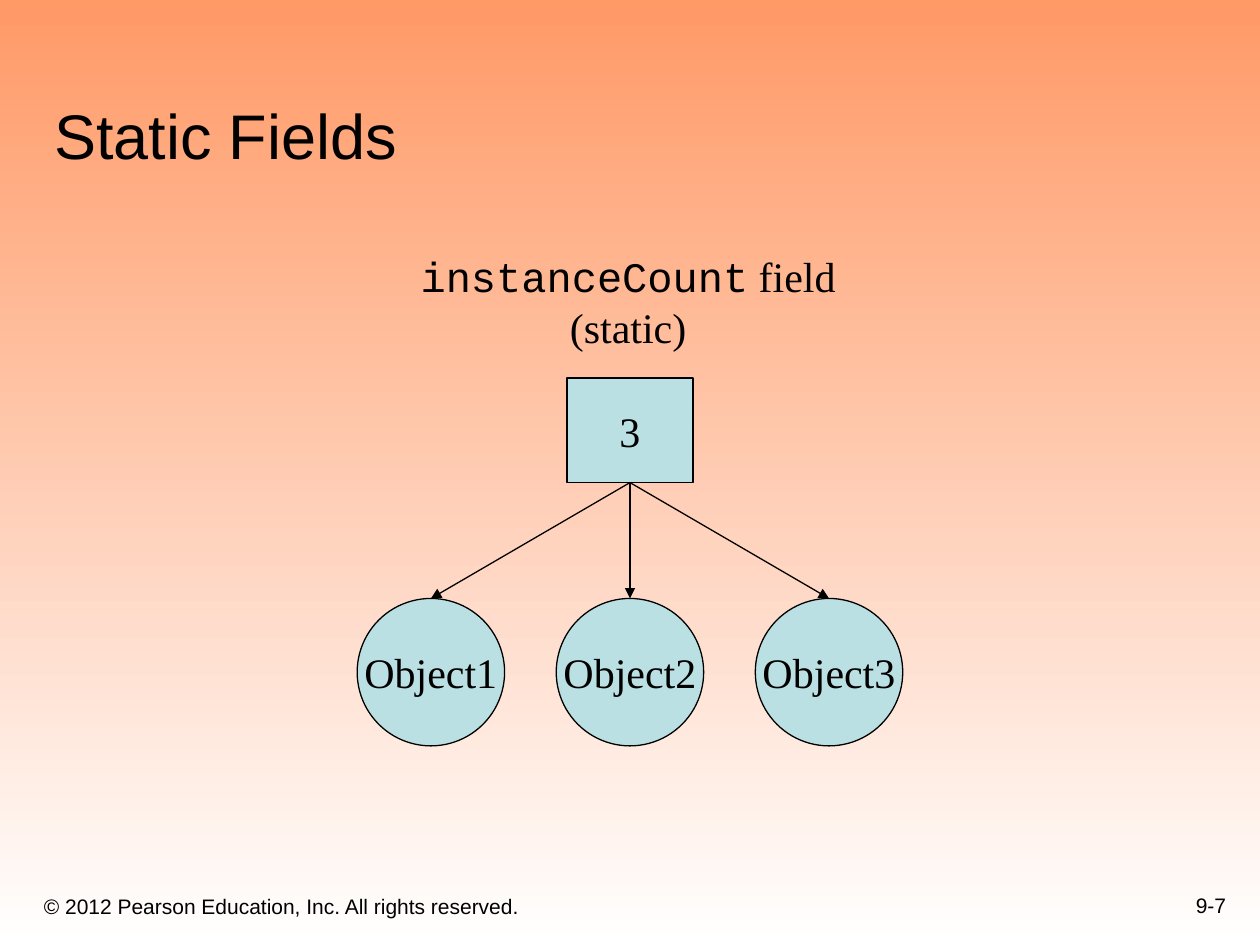
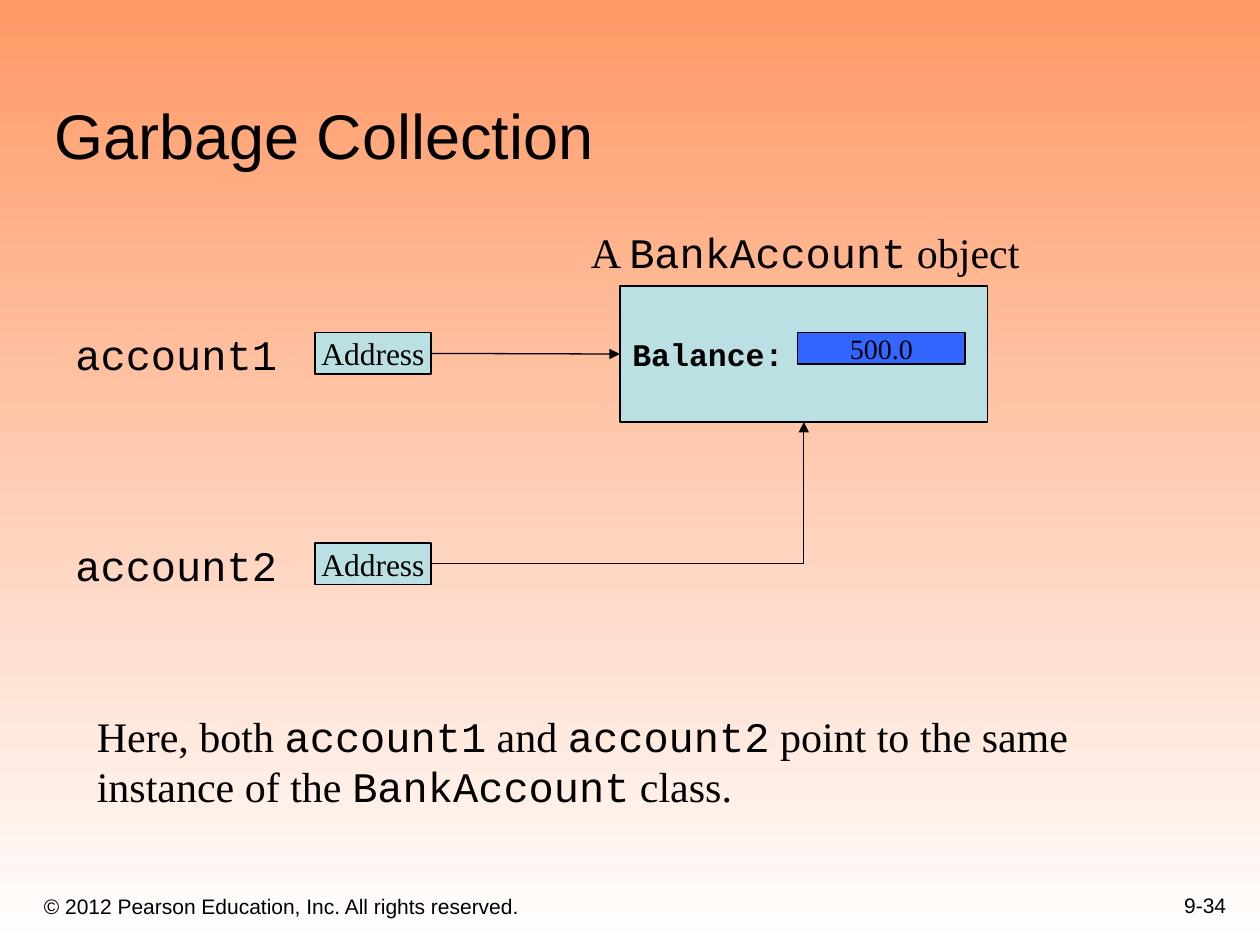
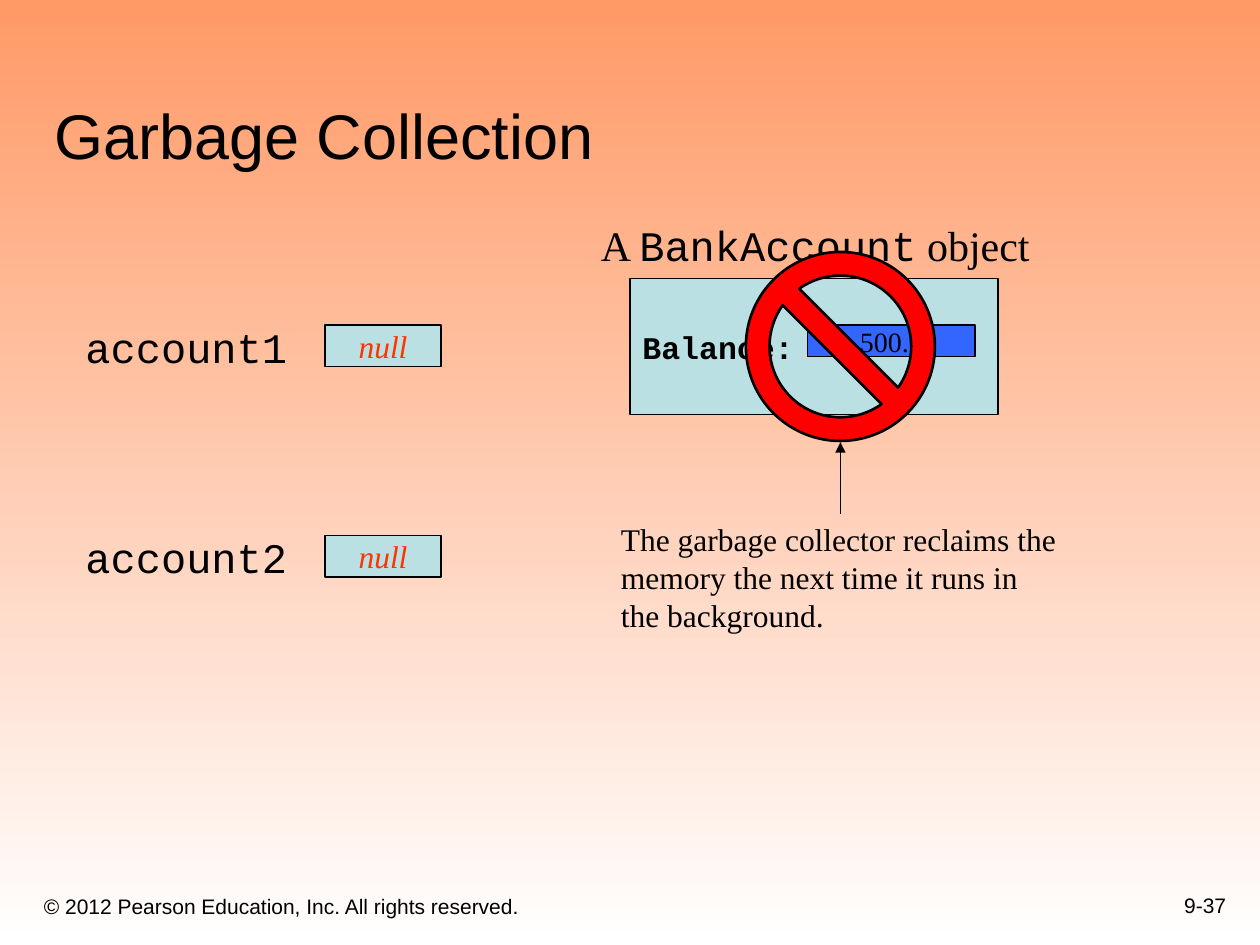
from dataclasses import dataclass

from lxml.etree import SubElement
from pptx import Presentation
from pptx.dml.color import RGBColor
from pptx.enum.shapes import MSO_CONNECTOR, MSO_SHAPE
from pptx.enum.text import MSO_ANCHOR, MSO_AUTO_SIZE, PP_ALIGN
from pptx.oxml.ns import qn
from pptx.util import Inches, Pt


@dataclass(frozen=True)
class Theme:
    ink: str = "000000"
    box: str = "BBE0E3"
    value: str = "3366FF"
    null: str = "FF3300"
    forbidden: str = "FF0000"
    background_top: str = "FF9966"
    background_bottom: str = "FFFFFF"
    heading_font: str = "Arial"
    body_font: str = "Times New Roman"
    code_font: str = "Courier New"
    title_size: int = 36
    body_size: int = 24
    label_size: int = 18
    value_size: int = 16
    footer_size: int = 12


THEME = Theme()

# Content: words between backticks are set in the code font
COPYRIGHT = "© 2012 Pearson Education, Inc. All rights reserved."
STATIC_FIELDS = {
    "title": "Static Fields",
    "page": "9-7",
    "caption": ["`instanceCount` field", "(static)"],
    "count": "3",
    "objects": ["Object1", "Object2", "Object3"],
}
SHARED_OBJECT = {
    "title": "Garbage Collection",
    "page": "9-34",
    "reference": "Address",
    "note": [
        "Here, both `account1` and `account2` point to the same",
        "instance of the `BankAccount` class.",
    ],
}
RECLAIMED_OBJECT = {
    "title": "Garbage Collection",
    "page": "9-37",
    "reference": "null",
    "note": ["The garbage collector reclaims the memory the next time it runs in the background."],
}
ACCOUNTS = ["account1", "account2"]
OBJECT_CAPTION = ["A `BankAccount` object"]
BALANCE_LABEL = ["`Balance:`"]
BALANCE = "500.0"

LEFT, CENTER, RIGHT = PP_ALIGN.LEFT, PP_ALIGN.CENTER, PP_ALIGN.RIGHT


# Text and shapes
def color(value):
    return RGBColor.from_string(value)


def inches(*values):
    return [Inches(value) for value in values]


def write(text_frame, lines, size, font=THEME.body_font, ink=THEME.ink,
          align=LEFT, anchor=MSO_ANCHOR.TOP, wrap=False, bold=False, italic=False):
    text_frame.auto_size = MSO_AUTO_SIZE.NONE
    text_frame.word_wrap = wrap
    text_frame.vertical_anchor = anchor
    for index, line in enumerate(lines):
        paragraph = text_frame.paragraphs[0] if index == 0 else text_frame.add_paragraph()
        paragraph.alignment = align
        for part, text in enumerate(line.split("`")):
            if not text:
                continue
            run = paragraph.add_run()
            run.text = text
            run.font.name = THEME.code_font if part % 2 else font
            run.font.size = Pt(size)
            run.font.color.rgb = color(ink)
            run.font.bold = bold
            run.font.italic = italic


def add_text(slide, place, lines, size=THEME.body_size, **style):
    text_box = slide.shapes.add_textbox(*inches(*place))
    write(text_box.text_frame, lines, size, **style)
    return text_box


def add_box(slide, kind, place, fill=THEME.box, line_width=0.75):
    shape = slide.shapes.add_shape(kind, *inches(*place))
    shape.shadow.inherit = False
    shape.fill.solid()
    shape.fill.fore_color.rgb = color(fill)
    shape.line.color.rgb = color(THEME.ink)
    shape.line.width = Pt(line_width)
    return shape


def add_label_box(slide, kind, place, lines, size, fill=THEME.box, align=CENTER, **style):
    shape = add_box(slide, kind, place, fill)
    write(shape.text_frame, lines, size, align=align, anchor=MSO_ANCHOR.MIDDLE, **style)
    return shape


def add_arrow(slide, start=(0, 0), end=(0, 0), kind=MSO_CONNECTOR.STRAIGHT):
    arrow = slide.shapes.add_connector(kind, *inches(*start, *end))
    arrow.line.color.rgb = color(THEME.ink)
    arrow.line.width = Pt(0.75)
    properties = arrow._element.spPr
    SubElement(properties.find(qn("a:ln")), qn("a:tailEnd"), type="triangle")
    SubElement(properties, qn("a:effectLst"))
    return arrow


def join(slide, start, start_site, end, end_site, kind=MSO_CONNECTOR.STRAIGHT):
    arrow = add_arrow(slide, kind=kind)
    arrow.begin_connect(start, start_site)
    arrow.end_connect(end, end_site)
    return arrow


# Shared slide frame
def set_background(presentation):
    fill = presentation.slide_master.background.fill
    fill.gradient()
    fill.gradient_angle = 270
    stops = zip(fill.gradient_stops, (0, 1), (THEME.background_top, THEME.background_bottom))
    for stop, position, value in stops:
        stop.position = position
        stop.color.rgb = color(value)


def add_slide(presentation, content):
    slide = presentation.slides.add_slide(presentation.slide_layouts[5])
    title = slide.shapes.title
    title.left, title.top, title.width, title.height = inches(0.33, 0.33, 9.42, 1.09)
    write(title.text_frame, [content["title"]], THEME.title_size,
          font=THEME.heading_font, anchor=MSO_ANCHOR.BOTTOM, wrap=True)
    footers = [
        ((0.25, 6.92, 6.08, 0.42), COPYRIGHT, LEFT),
        ((7.75, 6.83, 2.08, 0.5), content["page"], RIGHT),
    ]
    for place, text, align in footers:
        add_text(slide, place, [text], THEME.footer_size, font=THEME.heading_font,
                 align=align, anchor=MSO_ANCHOR.BOTTOM, wrap=True)
    return slide


# Static field shared by three objects
def build_static_fields(presentation):
    slide = add_slide(presentation, STATIC_FIELDS)
    add_text(slide, (3.24, 1.94, 3.49, 0.9), STATIC_FIELDS["caption"], align=CENTER)
    field = add_label_box(slide, MSO_SHAPE.RECTANGLE, (4.5, 3, 1, 0.83),
                          [STATIC_FIELDS["count"]], THEME.body_size)
    diameter, step = 1.17, 1.58
    for index, name in enumerate(STATIC_FIELDS["objects"]):
        left = 5 + (index - 1) * step - diameter / 2
        circle = add_label_box(slide, MSO_SHAPE.OVAL, (left, 4.75, diameter, diameter),
                               [name], THEME.body_size)
        join(slide, field, 2, circle, 0)


# Two account variables beside one account object
def add_memory_diagram(slide, reference, left, top, **reference_style):
    add_text(slide, (left + 4.09, top, 3.62, 0.5), OBJECT_CAPTION)
    account = add_label_box(slide, MSO_SHAPE.RECTANGLE, (left + 4.42, top + 0.52, 2.92, 1.08),
                            BALANCE_LABEL, THEME.label_size, align=LEFT, bold=True, wrap=True)
    add_label_box(slide, MSO_SHAPE.RECTANGLE, (left + 5.83, top + 0.89, 1.33, 0.25),
                  [BALANCE], THEME.value_size, fill=THEME.value)
    references = []
    for index, name in enumerate(ACCOUNTS):
        row_top = top + 0.81 + index * 1.67
        add_text(slide, (left, row_top, 1.83, 0.5), [f"`{name}`"], wrap=True)
        references.append(add_label_box(
            slide, MSO_SHAPE.RECTANGLE, (left + 2, row_top + 0.08, 0.92, 0.33),
            [reference], THEME.label_size, **reference_style))
    return account, references


def build_shared_object(presentation):
    slide = add_slide(presentation, SHARED_OBJECT)
    account, (first, second) = add_memory_diagram(slide, SHARED_OBJECT["reference"], 0.5, 1.75)
    join(slide, first, 3, account, 1)
    elbow = join(slide, second, 3, account, 2, MSO_CONNECTOR.ELBOW)
    elbow._element.spPr.find(qn("a:prstGeom")).set("prst", "bentConnector2")
    add_text(slide, (0.67, 5.59, 7.91, 0.9), SHARED_OBJECT["note"])


def build_reclaimed_object(presentation):
    slide = add_slide(presentation, RECLAIMED_OBJECT)
    add_memory_diagram(slide, RECLAIMED_OBJECT["reference"], 0.58, 1.69,
                       ink=THEME.null, italic=True)
    sign = add_box(slide, MSO_SHAPE.NO_SYMBOL, (5.92, 2, 1.5, 1.5), THEME.forbidden, 1.5)
    sign.adjustments[0] = 0.125
    add_text(slide, (4.83, 4.08, 3.67, 1), RECLAIMED_OBJECT["note"],
             THEME.label_size, wrap=True)
    add_arrow(slide, (6.67, 4.08), (6.67, 3.51))


def main():
    presentation = Presentation()
    presentation.slide_width, presentation.slide_height = inches(10, 7.5)
    set_background(presentation)
    build_static_fields(presentation)
    build_shared_object(presentation)
    build_reclaimed_object(presentation)
    presentation.save("out.pptx")


if __name__ == "__main__":
    main()
